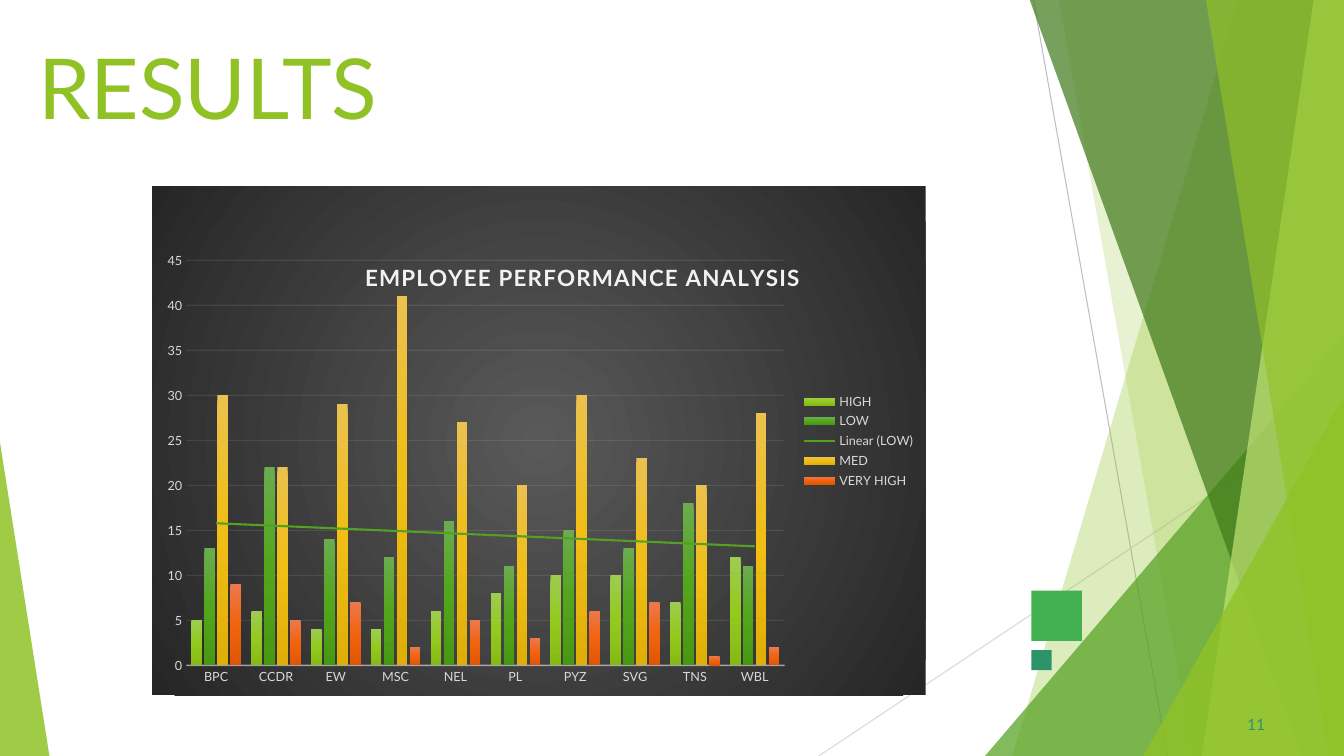
from lxml import etree
from pptx import Presentation
from pptx.chart.data import CategoryChartData
from pptx.dml.color import RGBColor
from pptx.enum.chart import XL_CHART_TYPE, XL_LEGEND_POSITION, XL_TICK_MARK
from pptx.enum.shapes import MSO_CONNECTOR, MSO_SHAPE
from pptx.enum.text import MSO_ANCHOR, PP_ALIGN
from pptx.oxml import parse_xml
from pptx.oxml.ns import nsdecls, qn
from pptx.util import Inches, Pt

COLUMNS = XL_CHART_TYPE.COLUMN_CLUSTERED
LEGEND_RIGHT = XL_LEGEND_POSITION.RIGHT
NO_TICK = XL_TICK_MARK.NONE
STRAIGHT = MSO_CONNECTOR.STRAIGHT
TRIANGLE, RECTANGLE = MSO_SHAPE.ISOSCELES_TRIANGLE, MSO_SHAPE.RECTANGLE
TOP, LEFT = MSO_ANCHOR.TOP, PP_ALIGN.LEFT

FONT = "Lato"
WIDTH, HEIGHT, BLEED = 13.33, 7.5, -0.01
COLORS = {
    "lime": "90C226", "green": "54A021", "forest": "3F7819", "pale": "C0E474",
    "square": "42AF51", "teal": "2D936B", "rule": "BFBFBF", "light_rule": "D9D9D9",
    "label": "D9D9D9", "chart_title": "F2F2F2", "axis": "F2F2F2",
    "chart_center": "595959", "chart_edge": "262626",
}

# start, end, color
RULES = [
    ((10.25, 0), (11.58, 7.5), "rule"),
    ((13.33, 4.03), (8.12, 7.5), "light_rule"),
]
# Bands reach the right edge: top-left x, bottom-left x, color, opacity
# Triangles: left, top, width, apex side, color, opacity
DECOR = [
    ("band", (12.28, 10.04), "lime", 30),
    ("band", (10.5, 11.83), "lime", 20),
    ("triangle", (9.77, 3.33, 3.56, 1), "green", 72),
    ("band", (10.21, 12.91), "forest", 70),
    ("band", (13.03, 11.92), "pale", 70),
    ("band", (11.96, 13.18), "lime", 65),
    ("triangle", (11.34, 3.93, 1.99, 1), "lime", 80),
    ("triangle", (0, 4.39, 0.49, 0), "lime", 85),
]
# left, top, side, color
SQUARES = [(10.23, 5.86, 0.5, "square"), (10.23, 6.45, 0.2, "teal")]

TITLE = "RESULTS"
PAGE_NUMBER = "11"
CHART_TITLE = "EMPLOYEE PERFORMANCE ANALYSIS"
UNITS = ["BPC", "CCDR", "EW", "MSC", "NEL", "PL", "PYZ", "SVG", "TNS", "WBL"]
# name, values, gradient from top to bottom
RATINGS = [
    ("HIGH", [5, 6, 4, 4, 6, 8, 10, 10, 7, 12], ["9DCC51", "93CA1E", "85BA14"]),
    ("LOW", [13, 22, 14, 12, 16, 11, 15, 13, 18, 11], ["6BAC4F", "53A61B", "489912"]),
    ("MED", [30, 22, 29, 41, 27, 20, 30, 23, 20, 28], ["EBC14F", "F0BE14", "E0AF07"]),
    ("VERY HIGH", [9, 5, 7, 2, 5, 3, 6, 7, 1, 2], ["EC794E", "F1630E", "E05603"]),
]
TREND_OF = "LOW"


def rgb(name):
    return RGBColor.from_string(COLORS[name])


def set_opacity(element, percent):
    for color in element.iter(qn("a:srgbClr")):
        etree.SubElement(color, qn("a:alpha")).set("val", str(percent * 1000))


def paint(shape, color, opacity=100):
    shape.shadow.inherit = False
    shape.fill.solid()
    shape.fill.fore_color.rgb = rgb(color)
    shape.line.fill.background()
    if opacity < 100:
        set_opacity(shape._element, opacity)


def gradient(colors, direction):
    last = len(colors) - 1
    stops = "".join(
        f'<a:gs pos="{100000 * i // last}"><a:srgbClr val="{color}"/></a:gs>'
        for i, color in enumerate(colors))
    return f'<a:gradFill {nsdecls("a")}><a:gsLst>{stops}</a:gsLst>{direction}</a:gradFill>'


def style_font(font, size, color, bold=False):
    font.name, font.size, font.bold = FONT, Pt(size), bold
    font.color.rgb = rgb(color)


def write(box, text, size, color, space_before):
    frame = box.text_frame
    frame.margin_left = frame.margin_right = frame.margin_bottom = 0
    frame.margin_top = Inches(0.01)
    frame.vertical_anchor = TOP
    frame.word_wrap = True
    frame.text = text
    para = frame.paragraphs[0]
    para.alignment = LEFT
    para.space_before = Pt(space_before)
    style_font(para.font, size, color)
    return para


def place(element, x, y, width=None, height=None):
    """Set a manual layout, in fractions of the chart, on a title or plot area."""
    inner = '<c:layoutTarget val="inner"/>' if width else ""
    size = f'<c:w val="{width}"/><c:h val="{height}"/>' if width else ""
    layout = parse_xml(
        f'<c:layout {nsdecls("c")}><c:manualLayout>{inner}<c:xMode val="edge"/>'
        f'<c:yMode val="edge"/><c:x val="{x}"/><c:y val="{y}"/>{size}'
        '</c:manualLayout></c:layout>')
    for old in element.findall(qn("c:layout")):
        element.remove(old)
    text = element.find(qn("c:tx"))
    if text is None:
        element.insert(0, layout)
    else:
        text.addnext(layout)


def add_decor(slide):
    shapes = slide.shapes
    for start, end, color in RULES:
        line = shapes.add_connector(STRAIGHT, *map(Inches, start + end))
        line.line.color.rgb = rgb(color)
        line.line.width = Pt(0.75)
        etree.SubElement(line._element.spPr, qn("a:effectLst"))
    for kind, geometry, color, opacity in DECOR:
        if kind == "band":
            top_x, bottom_x = geometry
            outline = shapes.build_freeform(Inches(top_x), Inches(BLEED))
            corners = [(WIDTH, BLEED), (WIDTH, HEIGHT), (bottom_x, HEIGHT)]
            outline.add_line_segments([(Inches(x), Inches(y)) for x, y in corners])
            shape = outline.convert_to_shape()
        else:
            left, top, width, apex = geometry
            shape = shapes.add_shape(
                TRIANGLE, *map(Inches, (left, top, width, HEIGHT - top)))
            shape.adjustments[0] = apex
        paint(shape, color, opacity)
    for left, top, side, color in SQUARES:
        paint(shapes.add_shape(RECTANGLE, *map(Inches, (left, top, side, side))), color)


def add_performance_chart(slide):
    data = CategoryChartData()
    data.categories = UNITS
    for name, values, _ in RATINGS:
        data.add_series(name, values)
    chart = slide.shapes.add_chart(
        COLUMNS, *map(Inches, (1.51, 1.85, 7.67, 5.05)), data).chart
    style_font(chart.font, 10, "label")

    circle = ('<a:path path="circle"><a:fillToRect l="50000" t="50000" '
              'r="50000" b="50000"/></a:path>')
    backdrop = gradient([COLORS["chart_center"], COLORS["chart_edge"]], circle)
    chart_space = chart._chartSpace
    chart_space.find(qn("c:chart")).addnext(parse_xml(
        f'<c:spPr {nsdecls("c", "a")}>{backdrop}<a:ln><a:noFill/></a:ln></c:spPr>'))

    chart.has_title = True
    chart.chart_title.text_frame.text = CHART_TITLE
    para = chart.chart_title.text_frame.paragraphs[0]
    style_font(para.font, 16, "chart_title", bold=True)
    para.font._element.set("spc", "100")
    place(chart.chart_title._element, 0.27, 0.14)
    place(chart_space.find(".//" + qn("c:plotArea")), 0.044, 0.145, 0.774, 0.796)

    chart.has_legend = True
    chart.legend.position = LEGEND_RIGHT
    chart.legend.include_in_layout = False
    style_font(chart.legend.font, 9, "label")

    units, scores = chart.category_axis, chart.value_axis
    for axis in (units, scores):
        axis.major_tick_mark = axis.minor_tick_mark = NO_TICK
        style_font(axis.tick_labels.font, 9, "label")
    units.format.line.color.rgb = rgb("axis")
    units.format.line.width = Pt(1)
    set_opacity(units._element.find(qn("c:spPr")), 54)
    scores.format.line.fill.background()
    scores.minimum_scale, scores.maximum_scale, scores.major_unit = 0, 45, 5
    grid = scores.major_gridlines.format.line
    grid.color.rgb = rgb("axis")
    grid.width = Pt(0.75)
    set_opacity(scores._element.find(qn("c:majorGridlines")), 10)

    plot = chart.plots[0]
    plot.gap_width, plot.overlap = 100, -24
    plot.vary_by_categories = False
    downward = '<a:lin ang="5400000" scaled="0"/>'
    for series, (name, _, colors) in zip(plot.series, RATINGS):
        properties = series._element.get_or_add_spPr()
        properties.insert(0, parse_xml(gradient(colors, downward)))
        if name == TREND_OF:
            series._element.find(qn("c:cat")).addprevious(parse_xml(
                f'<c:trendline {nsdecls("c", "a")}><c:name>Linear ({name})</c:name>'
                f'<c:spPr><a:ln w="{Pt(1.5)}"><a:solidFill><a:srgbClr '
                f'val="{COLORS["green"]}"/></a:solidFill></a:ln></c:spPr>'
                '<c:trendlineType val="linear"/><c:dispRSqr val="0"/>'
                '<c:dispEq val="0"/></c:trendline>'))


def main():
    deck = Presentation()
    deck.slide_width, deck.slide_height = Inches(WIDTH), Inches(HEIGHT)
    slide = deck.slides.add_slide(deck.slide_layouts[5])
    add_decor(slide)
    title = slide.shapes.title
    title.left, title.top, title.width, title.height = map(
        Inches, (0.38, 0.34, 4.08, 1.02))
    write(title, TITLE, 60, "lime", 1.1)
    number = slide.shapes.add_textbox(*map(Inches, (12.33, 7.08, 0.25, 0.21)))
    para = write(number, PAGE_NUMBER, 11, "teal", 0.6)
    para._element.get_or_add_pPr().set("marL", str(Inches(0.04)))
    add_performance_chart(slide)
    deck.save("out.pptx")


if __name__ == "__main__":
    main()
